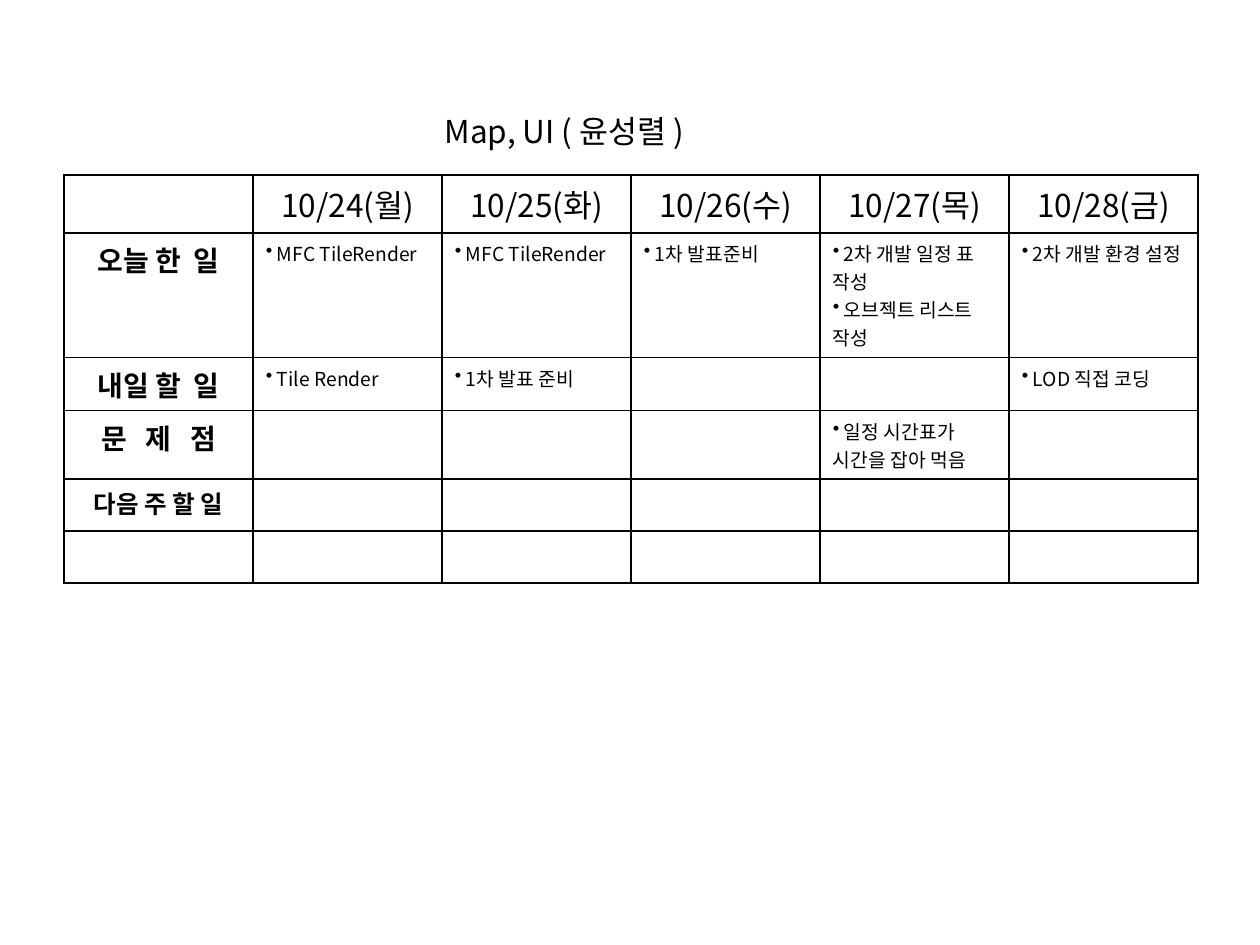
from dataclasses import dataclass
from lxml.etree import SubElement
from pptx import Presentation
from pptx.dml.color import RGBColor
from pptx.enum.text import MSO_AUTO_SIZE, PP_ALIGN
from pptx.oxml.ns import qn
from pptx.util import Inches, Pt

HEADER = ["", "10/24(월)", "10/25(화)", "10/26(수)", "10/27(목)", "10/28(금)"]
TASKS = [
    ("오늘 한  일", 16, [["MFC TileRender"], ["MFC TileRender"], ["1차 발표준비"],
                     ["2차 개발 일정 표 작성", "오브젝트 리스트 작성"], ["2차 개발 환경 설정"]]),
    ("내일 할  일", 16, [["Tile Render"], ["1차 발표 준비"], [], [], ["LOD 직접 코딩"]]),
    ("문   제   점", 16, [[""], [], [], ["일정 시간표가 시간을 잡아 먹음"], []]),
    ("다음 주 할 일", 14, [[]] * 5),
]


def rgb(value):
    return RGBColor.from_string(value)


@dataclass
class Report:
    """Holds the report's style and current slide, and draws its elements."""
    prs: object
    s: object
    font: str = "Noto Sans CJK KR"
    ink: str = "000000"
    paper: str = "FFFFFF"

    def box(self, x, y, w, h):
        width, height = self.prs.slide_width, self.prs.slide_height
        return int(x * width), int(y * height), int(w * width), int(h * height)

    def run(self, p, text, size, bold=False):
        if not text:
            SubElement(p._p, qn("a:endParaRPr"), sz=str(size * 100))
            return
        r = p.add_run()
        r.text = text
        r.font.size, r.font.bold, r.font.name = Pt(size), bold, self.font
        r.font.color.rgb = rgb(self.ink)
        SubElement(r._r.get_or_add_rPr(), qn("a:ea"), typeface=self.font)

    def title(self, text, x, y, w, h):
        tf = self.s.shapes.add_textbox(*self.box(x, y, w, h)).text_frame
        tf.word_wrap = False
        tf.auto_size = MSO_AUTO_SIZE.SHAPE_TO_FIT_TEXT
        self.run(tf.paragraphs[0], text, 18)

    def table(self, rows, cols, x, y, w, h):
        tbl = self.s.shapes.add_table(rows, cols, *self.box(x, y, w, h)).table
        tbl.first_row = tbl.horz_banding = False
        for cell in tbl.iter_cells():
            self.borders(cell)
            cell.fill.solid()
            cell.fill.fore_color.rgb = rgb(self.paper)
        return tbl

    def borders(self, cell):
        for side in ("lnL", "lnR", "lnT", "lnB"):
            ln = SubElement(cell._tc.get_or_add_tcPr(), qn(f"a:{side}"), w=str(Pt(1)))
            SubElement(SubElement(ln, qn("a:solidFill")), qn("a:srgbClr"), val=self.ink)

    def label(self, cell, text, size, bold=False):
        p = cell.text_frame.paragraphs[0]
        p.alignment = PP_ALIGN.CENTER
        self.run(p, text, size, bold)

    def bullets(self, cell, items, size=11):
        tf = cell.text_frame
        if not items:
            self.run(tf.paragraphs[0], "", size)
        for i, item in enumerate(items):
            p = tf.add_paragraph() if i else tf.paragraphs[0]
            SubElement(p._p.get_or_add_pPr(), qn("a:buChar"), char="•")
            self.run(p, f" {item}" if item else "", size)


def main():
    prs = Presentation()
    prs.slide_width, prs.slide_height = Inches(10), Inches(7.5)
    report = Report(prs, prs.slides.add_slide(prs.slide_layouts[6]))
    rows, cols = len(TASKS) + 2, len(HEADER)
    tbl = report.table(rows, cols, 0.051, 0.185, 0.9, rows * 0.055)
    for c, day in enumerate(HEADER):
        report.label(tbl.cell(0, c), day, 18)
        report.label(tbl.cell(rows - 1, c), "", 18)
    for r, (name, size, days) in enumerate(TASKS, 1):
        report.label(tbl.cell(r, 0), name, size, True)
        for c, items in enumerate(days, 1):
            report.bullets(tbl.cell(r, c), items)
    report.title("Map, UI ( 윤성렬 )", 0.343, 0.112, 0.229, 0.053)
    prs.save("out.pptx")


if __name__ == "__main__":
    main()
